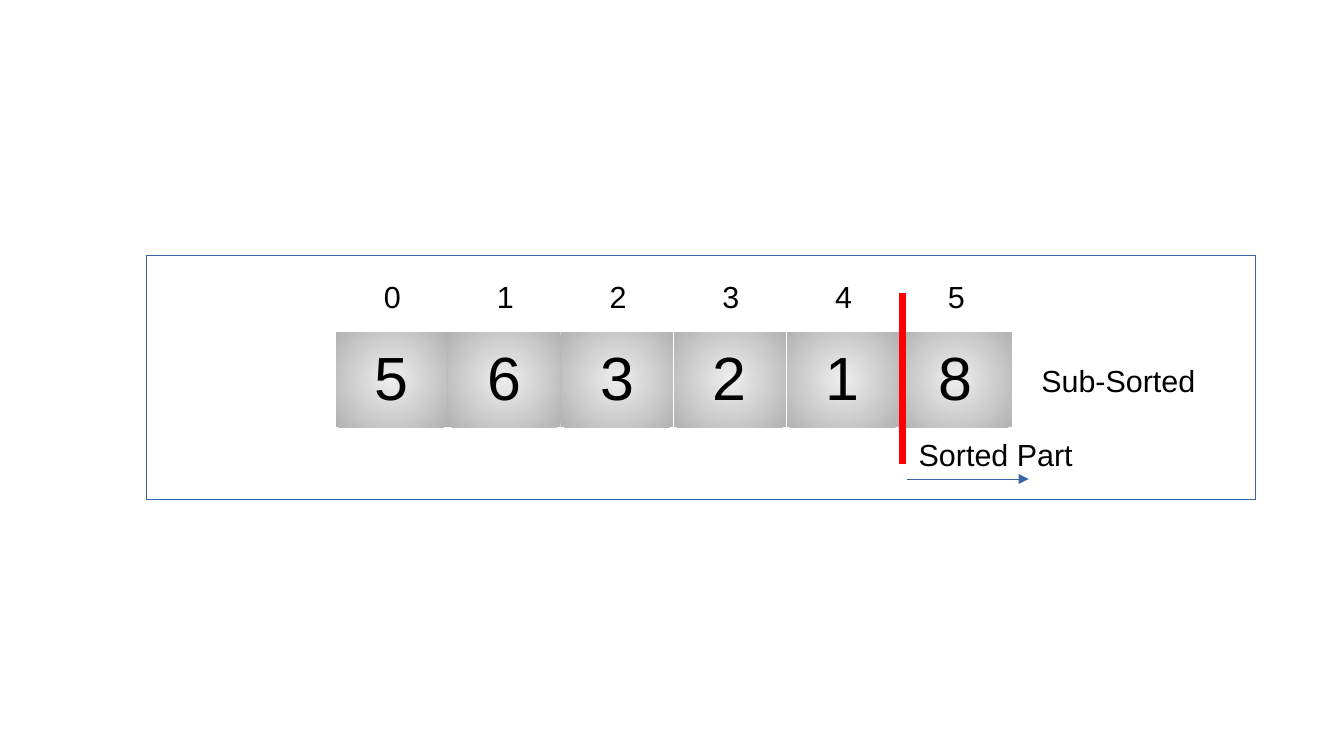
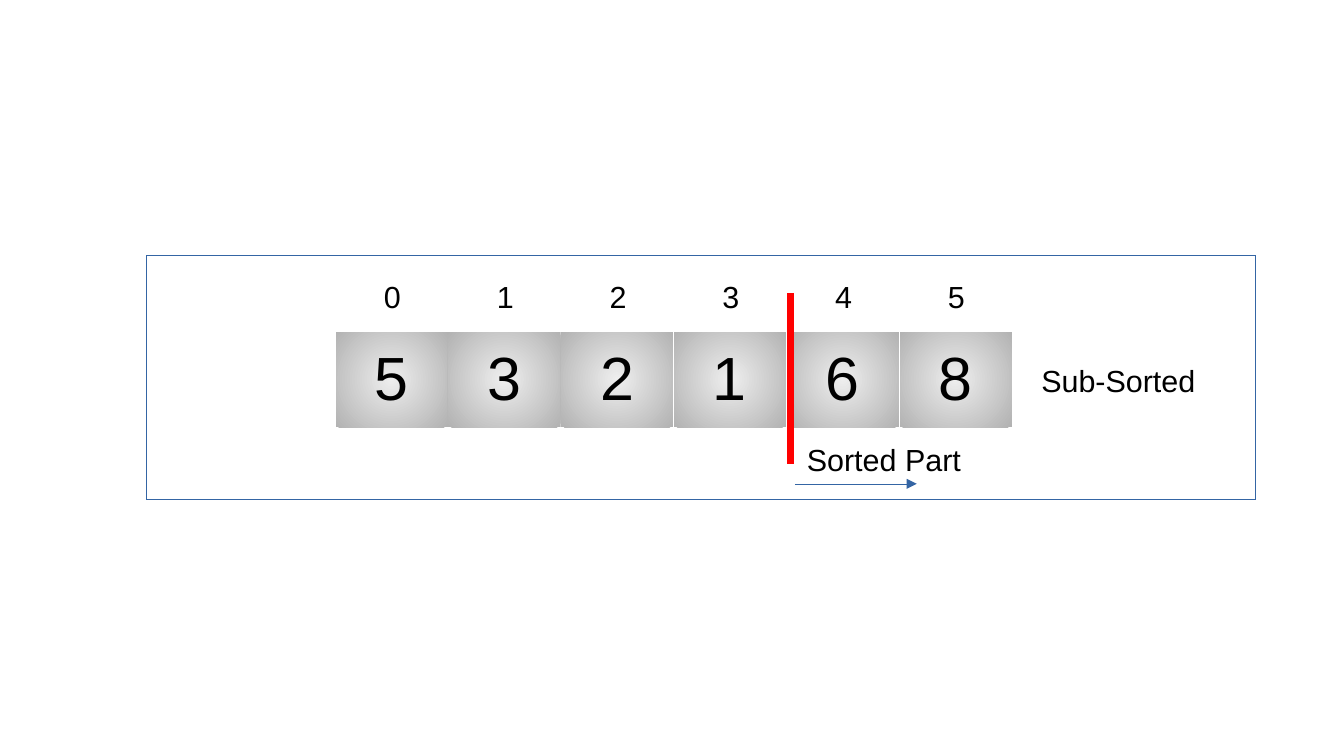
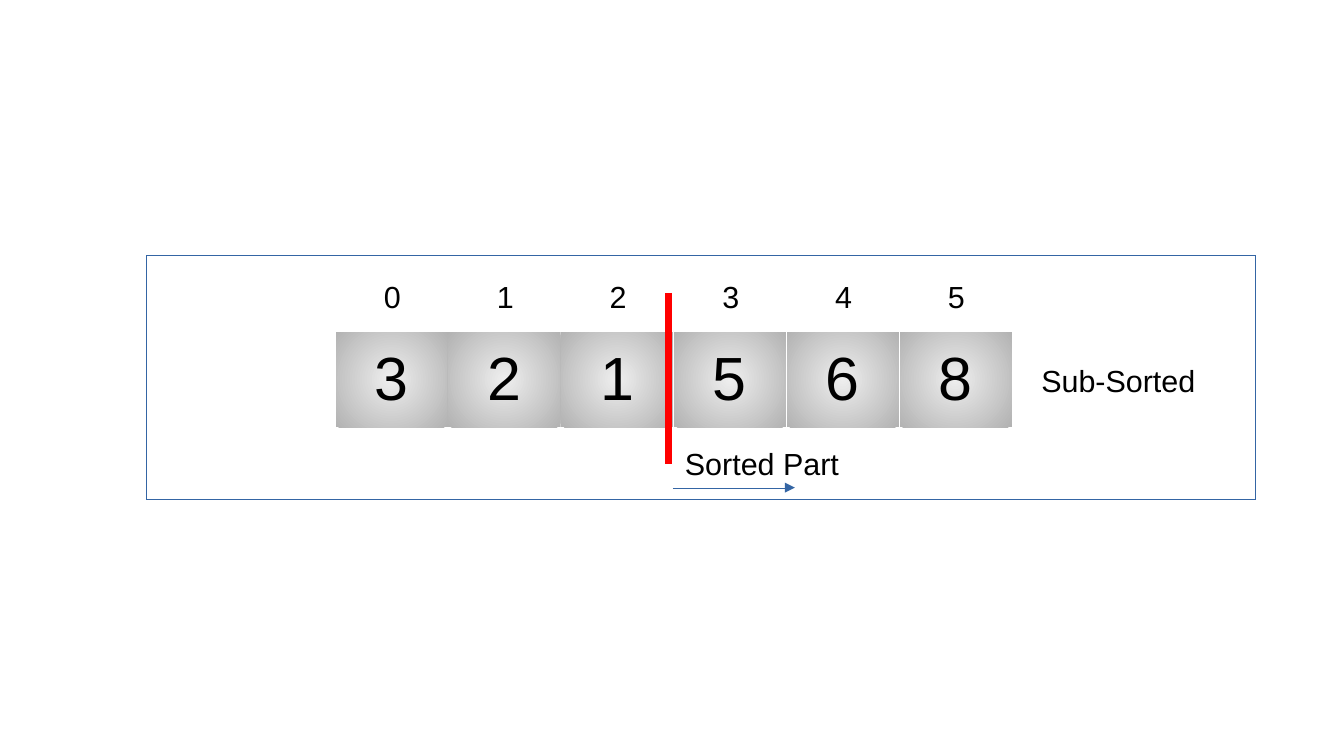
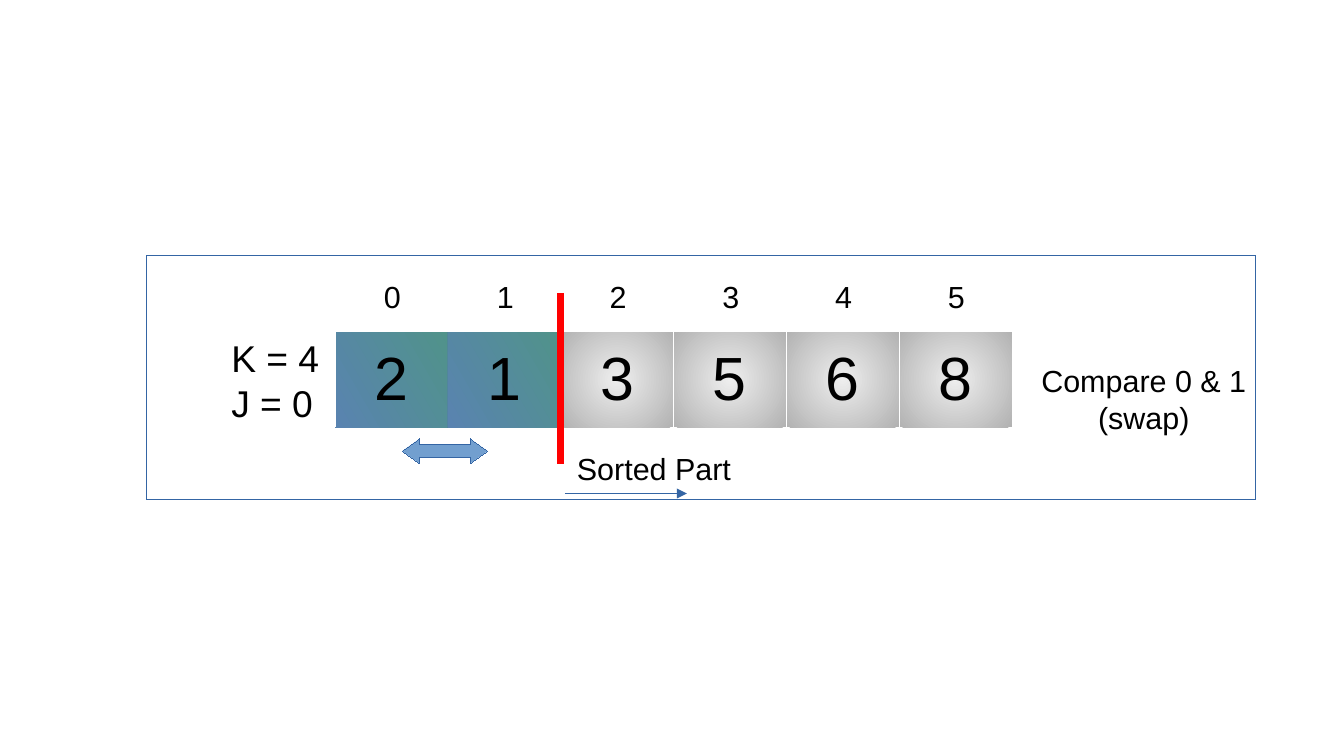
from dataclasses import dataclass

from lxml import etree
from pptx import Presentation
from pptx.dml.color import RGBColor
from pptx.enum.shapes import MSO_CONNECTOR as Connector, MSO_SHAPE as Shape
from pptx.enum.text import MSO_ANCHOR as Anchor, MSO_AUTO_SIZE as AutoSize, PP_ALIGN as Align
from pptx.oxml import parse_xml
from pptx.oxml.ns import nsdecls, qn
from pptx.util import Cm, Pt

# Shared look
FONT = "Arial"
BLACK, WHITE, RED = "000000", "FFFFFF", "FF0000"
OUTLINE, SWAP_BLUE = "3465A4", "729FCF"
HAIRLINE = 0.01  # a width of zero would fall back to the theme's line
GREY_GRADIENT = ("EEEEEE", "B2B2B2")
ACTIVE_GRADIENT = ("50938A", "5983B0")
RADIAL = '<a:path path="circle"><a:fillToRect l="50000" t="50000" r="50000" b="50000"/></a:path>'
DIAGONAL = '<a:lin ang="9000000" scaled="0"/>'
NO_TABLE_STYLE = "{2D5ABB26-0587-4C30-8999-92F81FD0307C}"
CELL_WIDTH, CELL_HEIGHT = 2.35, 2
LABEL_WIDTH, LABEL_HEIGHT = 3.8, 0.97
# Left, right and top borders of the first cells; later cells have all three
CELL_EDGES = ("LT", "T", "RT")


@dataclass(frozen=True)
class SortStep:
    """One state of the array; lengths are centimetres."""
    values: str
    divider_x: float
    arrow_y: float
    remark: tuple[str, ...] = ("Sub-Sorted",)
    remark_size: tuple[float, float] = (LABEL_WIDTH, LABEL_HEIGHT)
    counters: tuple[str, ...] = ()
    compared: tuple[int, ...] = ()


STEPS = (
    SortStep("563218", 18.8, 9.98),
    SortStep("532168", 16.47, 10.08),
    SortStep("321568", 13.93, 10.16),
    SortStep("213568", 11.68, 10.28, ("Compare 0 & 1", "(swap)"), (4.86, 1.68),
             ("K = 4", "J = 0"), (0, 1)),
)


def color(value: str) -> RGBColor:
    return RGBColor.from_string(value)


def style_paragraph(paragraph, size: float, align: Align) -> None:
    paragraph.alignment = align
    paragraph.font.name = FONT
    paragraph.font.size = Pt(size)
    paragraph.font.color.rgb = color(BLACK)


def add_label(slide, lines: tuple[str, ...], left: float, top: float, width: float,
              height: float, size: float = 18, align: Align = Align.LEFT) -> None:
    frame = slide.shapes.add_textbox(Cm(left), Cm(top), Cm(width), Cm(height)).text_frame
    frame.word_wrap = False
    frame.auto_size = AutoSize.SHAPE_TO_FIT_TEXT
    frame.text = "\n".join(lines)
    for paragraph in frame.paragraphs:
        style_paragraph(paragraph, size, align)


def add_block(slide, kind: Shape, left: float, top: float, width: float,
              height: float, fill: str):
    block = slide.shapes.add_shape(kind, Cm(left), Cm(top), Cm(width), Cm(height))
    block.shadow.inherit = False
    block.fill.solid()
    block.fill.fore_color.rgb = color(fill)
    block.line.color.rgb = color(OUTLINE)
    block.line.width = Pt(HAIRLINE)
    return block


def add_line(slide, start: tuple[float, float], end: tuple[float, float],
             stroke: str, width: float, arrow: bool = False) -> None:
    points = [Cm(value) for value in (*start, *end)]
    connector = slide.shapes.add_connector(Connector.STRAIGHT, *points)
    connector.line.color.rgb = color(stroke)
    connector.line.width = Pt(width)
    properties = connector.element.spPr
    if arrow:
        etree.SubElement(properties.find(qn("a:ln")), qn("a:tailEnd"), type="triangle")
    etree.SubElement(properties, qn("a:effectLst"))


def add_row(slide, texts: str, left: float, top: float, size: float, anchor: Anchor) -> list:
    table = slide.shapes.add_table(1, len(texts), Cm(left), Cm(top),
                                   Cm(CELL_WIDTH * len(texts)), Cm(CELL_HEIGHT)).table
    table.first_row = table.horz_banding = False
    table._tbl.tblPr.find(qn("a:tableStyleId")).text = NO_TABLE_STYLE
    cells = list(table.iter_cells())
    for cell, text in zip(cells, texts):
        cell.text = text
        cell.vertical_anchor = anchor
        cell.fill.background()
        style_paragraph(cell.text_frame.paragraphs[0], size, Align.CENTER)
    return cells


def decorate_cell(cell, edges: str, active: bool) -> None:
    """Give an array cell its hairline borders and gradient."""
    properties = cell._tc.get_or_add_tcPr()
    properties.remove(properties.find(qn("a:noFill")))
    for edge in edges:
        properties.append(parse_xml(
            f'<a:ln{edge} {nsdecls("a")} w="720"><a:solidFill>'
            f'<a:srgbClr val="{WHITE}"/></a:solidFill></a:ln{edge}>'))
    first, last = ACTIVE_GRADIENT if active else GREY_GRADIENT
    properties.append(parse_xml(
        f'<a:gradFill {nsdecls("a")}><a:gsLst>'
        f'<a:gs pos="0"><a:srgbClr val="{first}"/></a:gs>'
        f'<a:gs pos="100000"><a:srgbClr val="{last}"/></a:gs>'
        f'</a:gsLst>{DIAGONAL if active else RADIAL}</a:gradFill>'))


def add_step(slide, step: SortStep) -> None:
    # Frame
    add_block(slide, Shape.RECTANGLE, 3.05, 5.33, 23.11, 5.08, WHITE)

    # Array values and their indices
    for index, cell in enumerate(add_row(slide, step.values, 6.98, 6.9, 36, Anchor.MIDDLE)):
        edges = CELL_EDGES[index] if index < len(CELL_EDGES) else "LRT"
        decorate_cell(cell, edges, index in step.compared)
    indices = "".join(str(index) for index in range(len(step.values)))
    add_row(slide, indices, 7, 4.69, 18, Anchor.BOTTOM)

    # Remark and loop counters
    add_label(slide, step.remark, 21.4, 7.42, *step.remark_size, align=Align.CENTER)
    if step.counters:
        add_label(slide, step.counters, 4.57, 6.86, 2.4, 1.98, size=22)

    # Swap arrow
    if step.compared:
        swap = add_block(slide, Shape.LEFT_RIGHT_ARROW, 8.38, 9.14, 1.78, 0.52, SWAP_BLUE)
        swap.adjustments[0], swap.adjustments[1] = 0.5, 0.7

    # Start of the sorted part
    sorted_x = step.divider_x + 0.09
    add_line(slide, (step.divider_x, 6.1), (step.divider_x, 9.66), RED, 4.5)
    add_line(slide, (sorted_x, step.arrow_y), (sorted_x + 2.54, step.arrow_y),
             OUTLINE, HAIRLINE, arrow=True)
    add_label(slide, ("Sorted Part",), sorted_x, step.arrow_y - 1.02, LABEL_WIDTH, LABEL_HEIGHT)


def main() -> None:
    deck = Presentation()
    deck.slide_width, deck.slide_height = Cm(28), Cm(15.75)
    for step in STEPS:
        add_step(deck.slides.add_slide(deck.slide_layouts[6]), step)
    deck.save("out.pptx")


if __name__ == "__main__":
    main()
